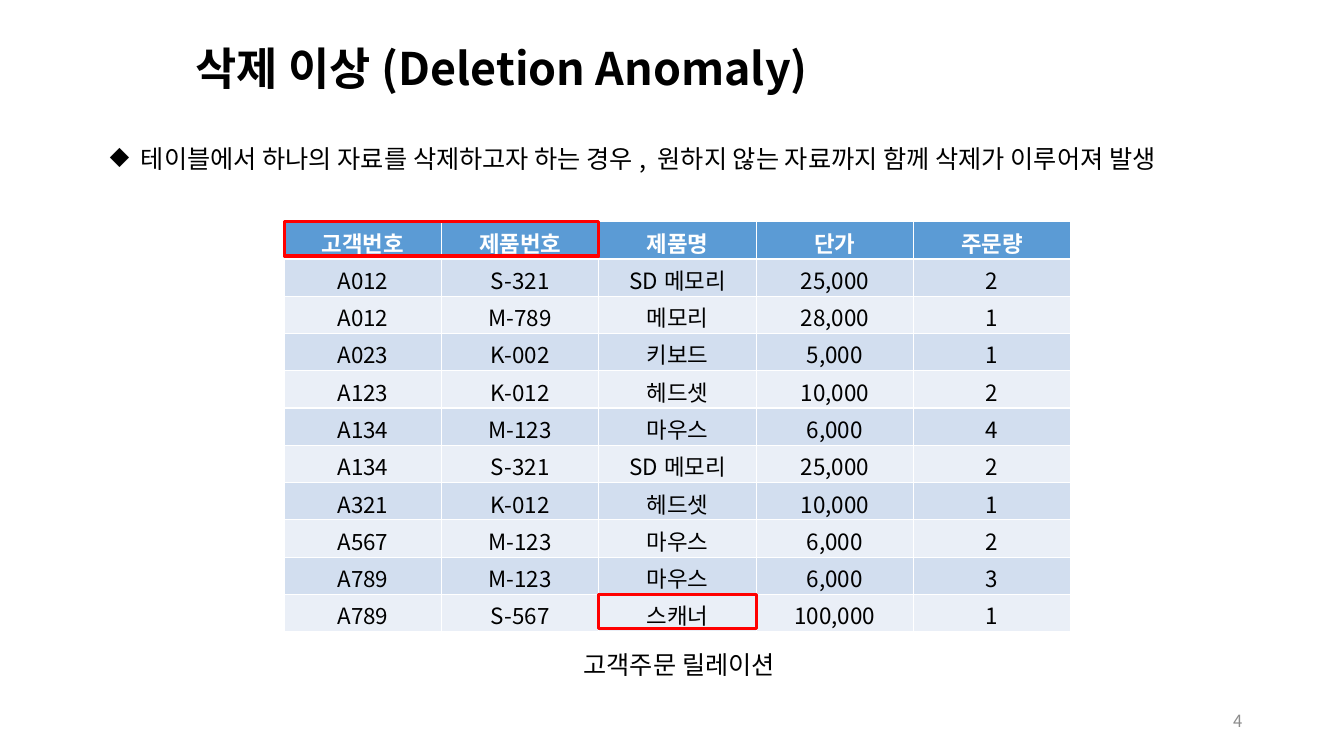
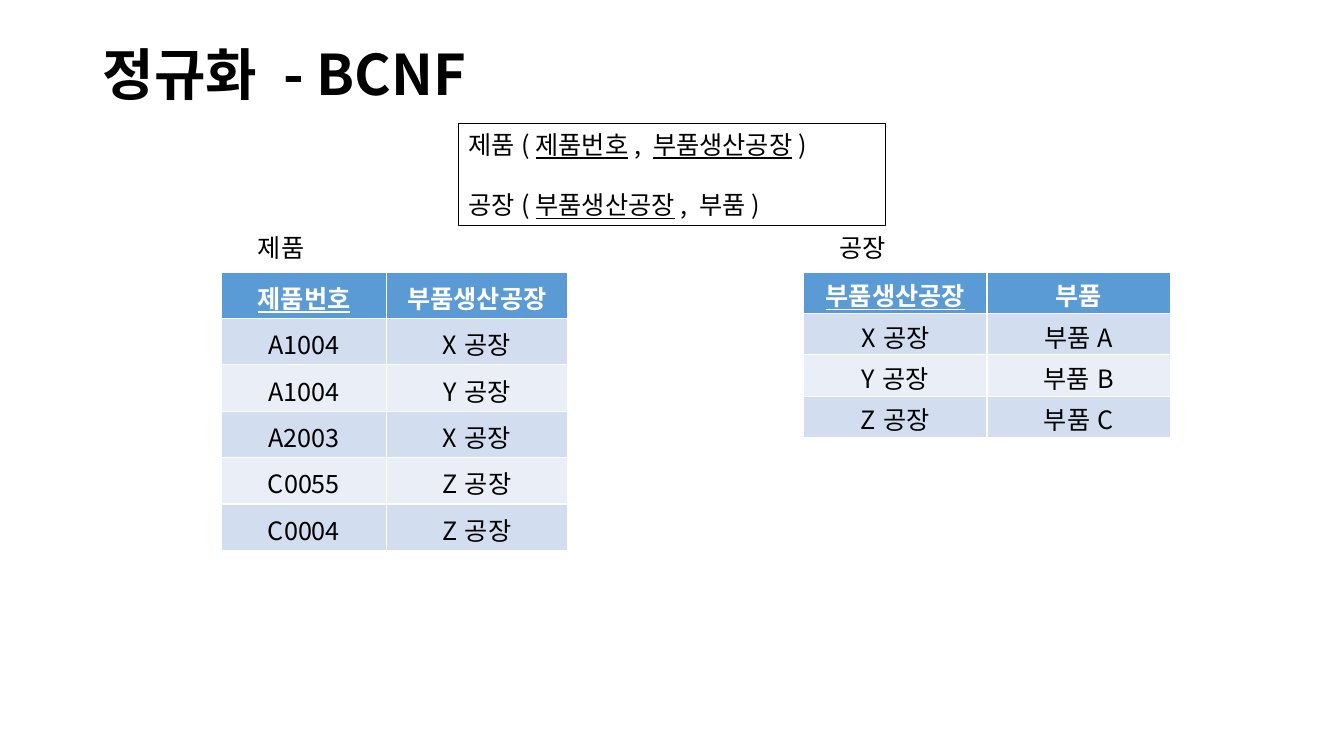
from lxml import etree
from pptx import Presentation
from pptx.dml.color import RGBColor
from pptx.enum.shapes import MSO_SHAPE
from pptx.enum.text import MSO_ANCHOR, PP_ALIGN
from pptx.oxml.ns import qn
from pptx.util import Inches, Pt

LEFT, CENTER, RIGHT = PP_ALIGN.LEFT, PP_ALIGN.CENTER, PP_ALIGN.RIGHT
TOP, MIDDLE = MSO_ANCHOR.TOP, MSO_ANCHOR.MIDDLE
RECT = MSO_SHAPE.RECTANGLE
FONT = "Noto Sans CJK KR"
COLORS = {name: RGBColor.from_string(value) for name, value in {
    "text": "000000", "white": "FFFFFF", "header": "5B9BD5", "odd": "D2DEEF",
    "even": "EAEFF7", "mark": "FF0000", "number": "8C8C8C"}.items()}


def style(p, size=18, color="text", bold=False, align=LEFT):
    """Set the shared font, for Latin and Korean text, on a paragraph."""
    p.alignment = align
    p.font.size, p.font.bold, p.font.name = Pt(size), bold, FONT
    p.font.color.rgb = COLORS[color]
    props = p._p.get_or_add_pPr().find(qn("a:defRPr"))
    etree.SubElement(props, qn("a:ea"), typeface=FONT)


def add_grid(s, left, top, widths, row_height, size, keys, rows):
    """Draw a banded table whose first `keys` headings are underlined."""
    box = [Inches(v) for v in (left, top, sum(widths), row_height * len(rows))]
    table = s.shapes.add_table(len(rows), len(widths), *box).table
    for column, width in zip(table.columns, widths):
        column.width = Inches(width)
    for i, row in enumerate(rows):
        table.rows[i].height = Inches(row_height)
        band = "header" if i == 0 else ("even", "odd")[i % 2]
        for j, value in enumerate(row):
            cell = table.cell(i, j)
            cell.margin_top, cell.margin_bottom = Inches(0.04), 0
            cell.vertical_anchor = MIDDLE
            cell.fill.solid()
            cell.fill.fore_color.rgb = COLORS[band]
            p = cell.text_frame.paragraphs[0]
            p.text = value
            style(p, size, "white" if i == 0 else "text", i == 0, CENTER)
            if i == 0 and j < keys:
                p.font.underline = True
                p.runs[0].font.underline = True


prs = Presentation()
prs.slide_width, prs.slide_height = Inches(13.33), Inches(7.5)

# Slides and titles
slides = []
for title, size, box in [
        ("삭제 이상(Deletion Anomaly)", 32, (1.84, 0.21, 9.79, 0.99)),
        ("정규화 - BCNF", 40, (0.92, 0.4, 11.5, 0.73))]:
    s = prs.slides.add_slide(prs.slide_layouts[5])
    sp = s.shapes.title
    sp.left, sp.top, sp.width, sp.height = [Inches(v) for v in box]
    tf = sp.text_frame
    tf.text, tf.vertical_anchor = title, MIDDLE
    style(tf.paragraphs[0], size, bold=True)
    tf.paragraphs[0].line_spacing = 0.9
    slides.append(s)
anomaly, bcnf = slides

# Order table
order_left, order_top, order_col, order_row = 2.82, 2.2, 1.56, 0.37
orders = [line.split("|") for line in (
    "고객번호|제품번호|제품명|단가|주문량",
    "A012|S-321|SD메모리|25,000|2",
    "A012|M-789|메모리|28,000|1",
    "A023|K-002|키보드|5,000|1",
    "A123|K-012|헤드셋|10,000|2",
    "A134|M-123|마우스|6,000|4",
    "A134|S-321|SD메모리|25,000|2",
    "A321|K-012|헤드셋|10,000|1",
    "A567|M-123|마우스|6,000|2",
    "A789|M-123|마우스|6,000|3",
    "A789|S-567|스캐너|100,000|1")]
add_grid(anomaly, order_left, order_top, [order_col] * 5, order_row, 16, 2, orders)

# Red frames on the key headings and on the lost product: column, row, columns
for col, row, span in [(0, 0, 2), (2, 10, 1)]:
    sp = anomaly.shapes.add_shape(
        RECT, Inches(order_left + col * order_col), Inches(order_top + row * order_row),
        Inches(span * order_col), Inches(0.34))
    sp.shadow.inherit = False
    sp.fill.background()
    sp.line.color.rgb, sp.line.width = COLORS["mark"], Pt(2.25)

# Product and factory tables
products = [("제품번호", "부품생산공장"), ("A1004", "X공장"), ("A1004", "Y공장"),
            ("A2003", "X공장"), ("C0055", "Z공장"), ("C0004", "Z공장")]
factories = [("부품생산공장", "부품"), ("X공장", "부품A"), ("Y공장", "부품B"),
             ("Z공장", "부품C")]
add_grid(bcnf, 2.2, 2.7, [1.63, 1.8], 0.46, 18, 1, products)
add_grid(bcnf, 7.97, 2.7, [1.82, 1.82], 0.41, 18, 1, factories)

# Bullet, captions and page number
for s, text, box, size, color, align, anchor, bullet in [
        (anomaly, "테이블에서 하나의 자료를 삭제하고자 하는 경우, 원하지 않는 자료까지 함께 삭제가 이루어져 발생",
         (0.99, 1.37, 11.68, 0.4), 18, "text", LEFT, TOP, True),
        (anomaly, "4", (9.42, 6.95, 3, 0.4), 12, "number", RIGHT, MIDDLE, False),
        (anomaly, "고객주문 릴레이션", (5.69, 6.39, 2.67, 0.4), 18, "text", LEFT, TOP, False),
        (bcnf, "제품", (2.46, 2.26, 1.52, 0.4), 18, "text", LEFT, TOP, False),
        (bcnf, "공장", (8.23, 2.26, 1.06, 0.4), 18, "text", LEFT, TOP, False)]:
    tf = s.shapes.add_textbox(*[Inches(v) for v in box]).text_frame
    tf.word_wrap, tf.vertical_anchor = True, anchor
    p = tf.paragraphs[0]
    p.text = text
    style(p, size, color, align=align)
    if bullet:
        pPr = p._p.get_or_add_pPr()
        pPr.set("marL", str(Inches(0.31)))
        pPr.set("indent", str(-Inches(0.31)))
        mark = etree.Element(qn("a:buChar"), char="◆")
        pPr.insert(0, mark)

# Schema box with underlined keys
sp = bcnf.shapes.add_shape(RECT, Inches(4.55), Inches(1.23), Inches(4.23), Inches(1.01))
sp.shadow.inherit = False
sp.fill.background()
sp.line.color.rgb, sp.line.width = COLORS["text"], Pt(0.75)
tf = sp.text_frame
tf.word_wrap, tf.vertical_anchor = True, TOP
schemas = [(1, ["제품(", "제품번호", ", ", "부품생산공장", ")"]),
           (2, ["공장(", "부품생산공장", ", 부품)"])]
for i, (spacing, parts) in enumerate(schemas):
    p = tf.add_paragraph() if i else tf.paragraphs[0]
    style(p)
    p.line_spacing = float(spacing)
    for j, part in enumerate(parts):
        r = p.add_run()
        r.text = part
        r.font.underline = j % 2 == 1
        r.font.color.rgb = COLORS["text"]

prs.save("out.pptx")
